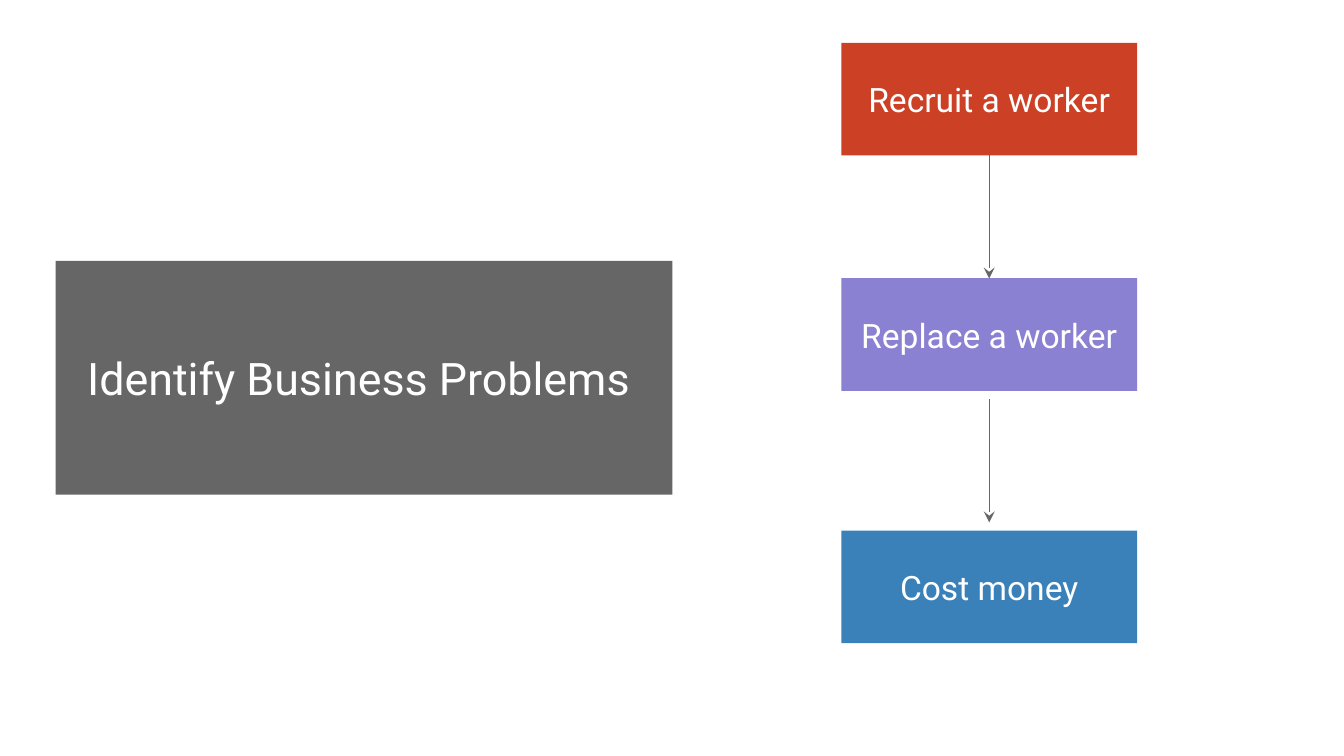
import pptx
import pptx.util
from lxml import etree
from pptx.dml.color import RGBColor
from pptx.enum.shapes import MSO_CONNECTOR, MSO_SHAPE
from pptx.enum.text import MSO_ANCHOR, MSO_AUTO_SIZE, PP_ALIGN
from pptx.oxml.ns import qn
from pptx.util import Cm, Pt

WHITE = RGBColor(0xFF, 0xFF, 0xFF)
GREY = RGBColor(0x66, 0x66, 0x66)
RED = RGBColor(0xCC, 0x41, 0x25)
PURPLE = RGBColor(0x8B, 0x81, 0xD2)
BLUE = RGBColor(0x3A, 0x81, 0xBA)
FONT = "Roboto"

TITLE = "Identify Business Problems "
# text, fill, top in cm
STEPS = [
    ("Recruit a worker", RED, 0.81),
    ("Replace a worker", PURPLE, 5.26),
    ("Cost money", BLUE, 10.03),
]
STEP_LEFT, STEP_WIDTH, STEP_HEIGHT = 15.9, 5.59, 2.13
ARROW_LENGTH = 2.33


def format_box(shape, text, color, size):
    shape.fill.solid()
    shape.fill.fore_color.rgb = color
    shape.line.fill.background()
    frame = shape.text_frame
    frame.text = text
    frame.word_wrap = True
    frame.auto_size = MSO_AUTO_SIZE.NONE
    frame.vertical_anchor = MSO_ANCHOR.MIDDLE
    frame.margin_left = frame.margin_right = Cm(0.25)
    frame.margin_top = frame.margin_bottom = Cm(0.25)
    paragraph = frame.paragraphs[0]
    paragraph.alignment = PP_ALIGN.CENTER
    paragraph.font.name = FONT
    paragraph.font.size = Pt(size)
    paragraph.font.color.rgb = WHITE


def add_down_arrow(slide, x, top, bottom):
    arrow = slide.shapes.add_connector(
        MSO_CONNECTOR.STRAIGHT, Cm(x), Cm(top), Cm(x), Cm(bottom))
    arrow.line.color.rgb = GREY
    arrow.line.width = Pt(0.75)
    etree.SubElement(arrow.line._get_or_add_ln(), qn("a:tailEnd"), type="stealth")
    etree.SubElement(arrow._element.spPr, qn("a:effectLst"))


presentation = pptx.Presentation()
presentation.slide_width = Cm(25.4)
presentation.slide_height = Cm(14.29)
slide = presentation.slides.add_slide(presentation.slide_layouts[5])

title = slide.shapes.title
title.left, title.top, title.width, title.height = Cm(1.05), Cm(4.93), Cm(11.66), Cm(4.42)
format_box(title, TITLE, GREY, 24)

for text, color, top in STEPS:
    box = slide.shapes.add_shape(
        MSO_SHAPE.RECTANGLE, Cm(STEP_LEFT), Cm(top), Cm(STEP_WIDTH), Cm(STEP_HEIGHT))
    box.shadow.inherit = False
    format_box(box, text, color, 18)

# Each arrow sits in the middle of the gap between two steps.
tops = [top for _, _, top in STEPS]
for upper, lower in zip(tops, tops[1:]):
    middle = (upper + STEP_HEIGHT + lower) / 2
    add_down_arrow(slide, STEP_LEFT + STEP_WIDTH / 2,
                   middle - ARROW_LENGTH / 2, middle + ARROW_LENGTH / 2)

presentation.save("out.pptx")
